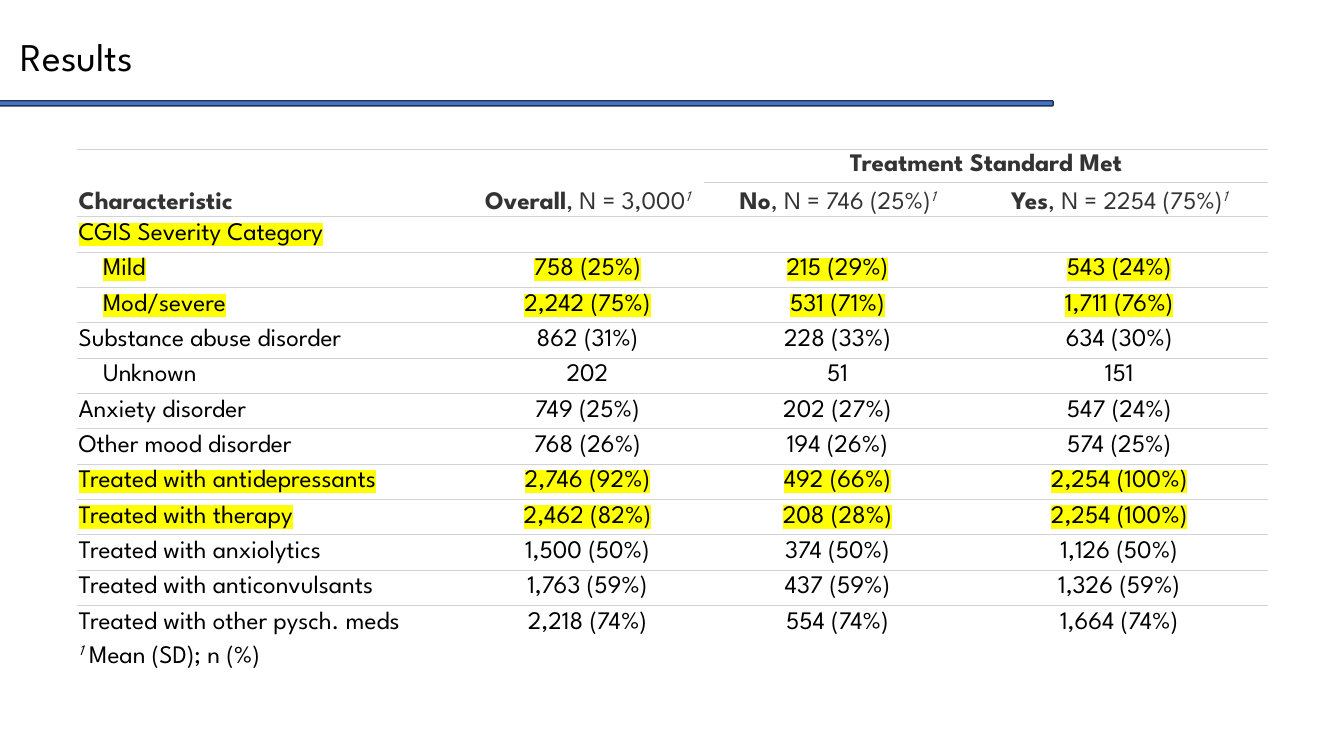
"""Build the results slide with its treatment standard table."""
import dataclasses
import typing

import pptx
import pptx.dml.color
import pptx.enum.shapes
import pptx.enum.text
import pptx.oxml
import pptx.oxml.ns
import pptx.util

Cm = pptx.util.Cm
Anchor = pptx.enum.text.MSO_ANCHOR
Align = pptx.enum.text.PP_ALIGN

FONT = "League Spartan"
BLACK, DARK_GRAY, WHITE = "000000", "333333", "FFFFFF"
RULE_GRAY, YELLOW = "D3D3D3", "FFFF00"
NAMESPACE = pptx.oxml.ns.nsdecls("a")
NO_STYLE = "{2D5ABB26-0587-4C30-8999-92F81FD0307C}"
COLUMN_WIDTHS = (9.93, 5.89, 6.71, 7.49)
HEADER_HEIGHTS = (0.84, 0.86)
BODY_HEIGHT = 0.89
FOOTNOTE_HEIGHT = 0.84
INDENT = 0.62


@dataclasses.dataclass(frozen=True)
class Characteristic:
    label: str
    values: tuple[str, ...] = ()
    highlighted: bool = False
    indented: bool = False


@dataclasses.dataclass(frozen=True)
class Heading:
    row: int
    column: int
    name: str
    count: str


HEADINGS = (
    Heading(0, 1, "Overall", ", N = 3,000"),
    Heading(1, 2, "No", ", N = 746 (25%)"),
    Heading(1, 3, "Yes", ", N = 2254 (75%)"),
)
CHARACTERISTICS = (
    Characteristic("CGIS Severity Category", highlighted=True),
    Characteristic("Mild", ("758 (25%)", "215 (29%)", "543 (24%)"), True, True),
    Characteristic("Mod/severe", ("2,242 (75%)", "531 (71%)", "1,711 (76%)"), True, True),
    Characteristic("Substance abuse disorder", ("862 (31%)", "228 (33%)", "634 (30%)")),
    Characteristic("Unknown", ("202", "51", "151"), indented=True),
    Characteristic("Anxiety disorder", ("749 (25%)", "202 (27%)", "547 (24%)")),
    Characteristic("Other mood disorder", ("768 (26%)", "194 (26%)", "574 (25%)")),
    Characteristic("Treated with antidepressants", ("2,746 (92%)", "492 (66%)", "2,254 (100%)"), True),
    Characteristic("Treated with therapy", ("2,462 (82%)", "208 (28%)", "2,254 (100%)"), True),
    Characteristic("Treated with anxiolytics", ("1,500 (50%)", "374 (50%)", "1,126 (50%)")),
    Characteristic("Treated with anticonvulsants", ("1,763 (59%)", "437 (59%)", "1,326 (59%)")),
    Characteristic("Treated with other pysch. meds", ("2,218 (74%)", "554 (74%)", "1,664 (74%)")),
)


def color(value: str) -> pptx.dml.color.RGBColor:
    return pptx.dml.color.RGBColor.from_string(value)


def add_text(paragraph: typing.Any, text: str, *, size: float = 18, fill: str = BLACK,
             bold: bool = False, italic: bool = False, superscript: bool = False,
             highlighted: bool = False) -> None:
    run = paragraph.add_run()
    run.text = text
    font = run.font
    font.name, font.size = FONT, pptx.util.Pt(size)
    font.bold, font.italic = bold, italic
    font.color.rgb = color(fill)
    properties = run._r.get_or_add_rPr()
    if superscript:
        properties.set("baseline", "30000")
    if highlighted:
        highlight = pptx.oxml.parse_xml(
            f'<a:highlight {NAMESPACE}><a:srgbClr val="{YELLOW}"/></a:highlight>')
        properties.find(pptx.oxml.ns.qn("a:solidFill")).addnext(highlight)


def format_cell(cell: typing.Any, top: bool, bottom: bool) -> None:
    properties = cell._tc.get_or_add_tcPr()
    for side, visible in (("L", False), ("R", False), ("T", top), ("B", bottom)):
        paint = (f'<a:solidFill><a:srgbClr val="{RULE_GRAY}"/></a:solidFill>'
                 if visible else "<a:noFill/>")
        properties.append(pptx.oxml.parse_xml(
            f'<a:ln{side} {NAMESPACE} w="9525">{paint}</a:ln{side}>'))
    cell.fill.solid()
    cell.fill.fore_color.rgb = color(WHITE)
    cell.margin_left = cell.margin_right = Cm(0.05)
    cell.margin_top = cell.margin_bottom = Cm(0.05)
    cell.vertical_anchor = Anchor.MIDDLE


def cell_paragraph(cell: typing.Any, alignment: typing.Any = Align.LEFT) -> typing.Any:
    paragraph = cell.text_frame.paragraphs[0]
    paragraph.alignment = alignment
    return paragraph


def add_title(slide: typing.Any) -> None:
    bar = slide.shapes.add_shape(
        pptx.enum.shapes.MSO_SHAPE.ROUNDED_RECTANGLE, Cm(-0.43), Cm(2.54), Cm(26.97), Cm(0.13))
    bar.shadow.inherit = False
    bar.fill.solid()
    bar.fill.fore_color.rgb = color("4472C4")
    bar.line.color.rgb = color("1E3256")
    bar.line.width = pptx.util.Pt(1)
    title = slide.shapes.add_textbox(Cm(0.28), Cm(0.69), Cm(24.43), Cm(1.45))
    title.text_frame.word_wrap = True
    title.text_frame.auto_size = pptx.enum.text.MSO_AUTO_SIZE.SHAPE_TO_FIT_TEXT
    add_text(title.text_frame.paragraphs[0], "Results", size=28)


def fill_headings(table: typing.Any) -> None:
    for column in (0, 1):
        table.cell(0, column).merge(table.cell(1, column))
    group = table.cell(0, 2)
    group.merge(table.cell(0, 3))
    group.margin_top = group.margin_bottom = Cm(0.03)
    add_text(cell_paragraph(group, Align.CENTER), "Treatment Standard Met",
             fill=DARK_GRAY, bold=True)
    label = table.cell(0, 0)
    label.vertical_anchor = Anchor.BOTTOM
    add_text(cell_paragraph(label), "Characteristic", fill=DARK_GRAY, bold=True)
    for heading in HEADINGS:
        cell = table.cell(heading.row, heading.column)
        cell.vertical_anchor = Anchor.BOTTOM
        paragraph = cell_paragraph(cell, Align.CENTER)
        add_text(paragraph, heading.name, fill=DARK_GRAY, bold=True)
        add_text(paragraph, heading.count, fill=DARK_GRAY)
        add_text(paragraph, "1", fill=DARK_GRAY, italic=True, superscript=True)


def fill_characteristic(table: typing.Any, row: int, item: Characteristic) -> None:
    paragraph = cell_paragraph(table.cell(row, 0))
    if item.indented:
        paragraph._p.get_or_add_pPr().set("marL", str(Cm(INDENT)))
    add_text(paragraph, item.label, highlighted=item.highlighted)
    for column, value in enumerate(item.values, start=1):
        add_text(cell_paragraph(table.cell(row, column), Align.CENTER), value,
                 highlighted=item.highlighted)


def add_results_table(slide: typing.Any) -> None:
    heights = (*HEADER_HEIGHTS, *[BODY_HEIGHT] * len(CHARACTERISTICS), FOOTNOTE_HEIGHT)
    footnote_row = len(heights) - 1
    table = slide.shapes.add_table(
        len(heights), len(COLUMN_WIDTHS), Cm(1.93), Cm(3.76),
        Cm(sum(COLUMN_WIDTHS)), Cm(sum(heights))).table
    table.first_row = table.horz_banding = False
    table._tbl.tblPr.find(pptx.oxml.ns.qn("a:tableStyleId")).text = NO_STYLE
    for column, width in zip(table.columns, COLUMN_WIDTHS):
        column.width = Cm(width)
    for index, (row, height) in enumerate(zip(table.rows, heights)):
        row.height = Cm(height)
        for cell in row.cells:
            format_cell(cell, top=index < footnote_row, bottom=index < footnote_row - 1)
    fill_headings(table)
    for row_index, item in enumerate(CHARACTERISTICS, start=len(HEADER_HEIGHTS)):
        fill_characteristic(table, row_index, item)
    footnote = table.cell(footnote_row, 0)
    footnote.merge(table.cell(footnote_row, len(COLUMN_WIDTHS) - 1))
    footnote.margin_top = footnote.margin_bottom = Cm(0.03)
    paragraph = cell_paragraph(footnote)
    add_text(paragraph, "1", italic=True, superscript=True)
    add_text(paragraph, " Mean (SD); n (%)")


def main() -> None:
    presentation = pptx.Presentation()
    presentation.slide_width, presentation.slide_height = Cm(33.87), Cm(19.05)
    slide = presentation.slides.add_slide(presentation.slide_layouts[6])
    add_title(slide)
    add_results_table(slide)
    presentation.save("out.pptx")


if __name__ == "__main__":
    main()
